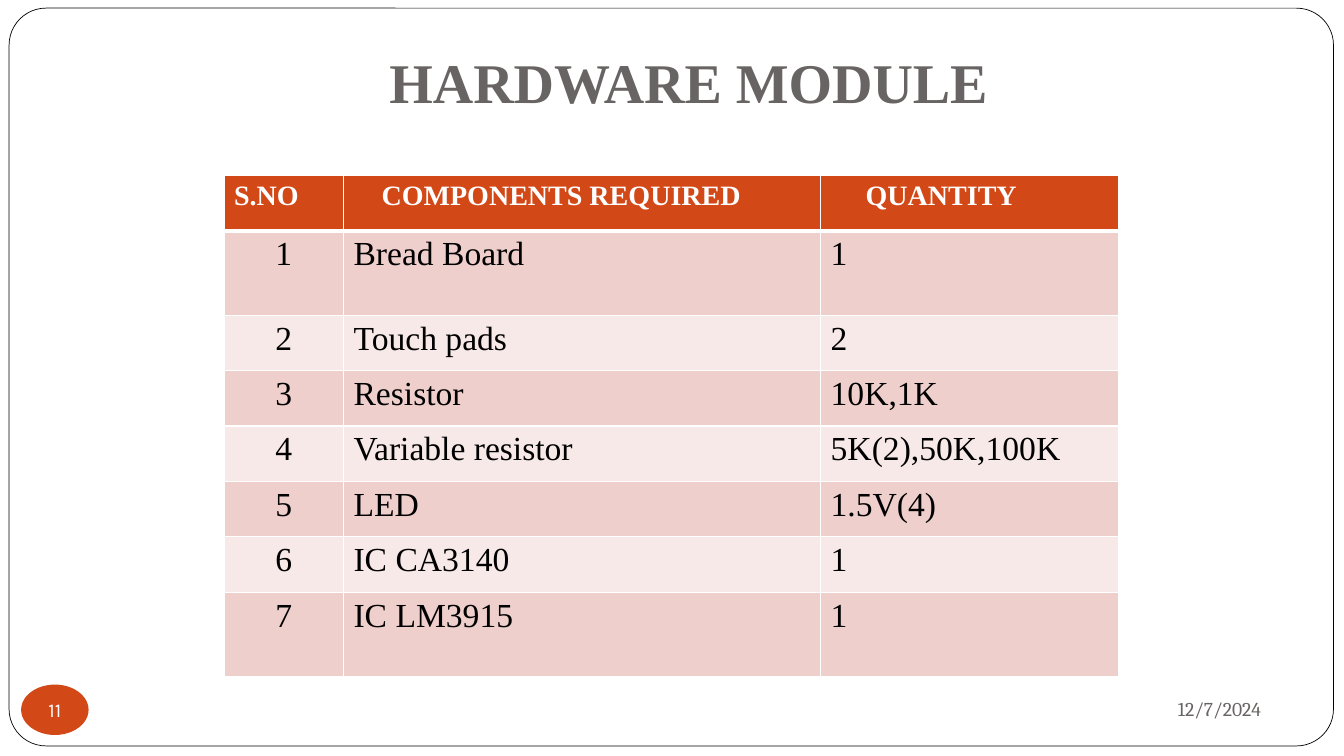
from lxml import etree
from pptx import Presentation
from pptx.dml.color import RGBColor
from pptx.enum.shapes import MSO_SHAPE
from pptx.enum.text import MSO_ANCHOR, MSO_AUTO_SIZE, PP_ALIGN
from pptx.oxml.ns import qn
from pptx.util import Pt

ROUNDED, OVAL = MSO_SHAPE.ROUNDED_RECTANGLE, MSO_SHAPE.OVAL
LEFT, CENTER, RIGHT = PP_ALIGN.LEFT, PP_ALIGN.CENTER, PP_ALIGN.RIGHT
MIDDLE, BOTTOM = MSO_ANCHOR.MIDDLE, MSO_ANCHOR.BOTTOM
NO_AUTOFIT = MSO_AUTO_SIZE.NONE

HEADER = ["S.NO", "COMPONENTS REQUIRED", "QUANTITY"]
HEADER_INDENTS = [0, 20, 25]
COMPONENTS = [
    ("Bread Board", "1"),
    ("Touch pads", "2"),
    ("Resistor", "10K,1K"),
    ("Variable resistor", "5K(2),50K,100K"),
    ("LED", "1.5V(4)"),
    ("IC CA3140", "1"),
    ("IC LM3915", "1"),
]
COLUMN_WIDTHS = [85.4, 340.8, 212.6]
ROW_HEIGHT, TALL_ROW_HEIGHT = 39.6, 60.2


def rgb(value):
    return RGBColor.from_string(value)


class Deck:
    SERIF, DATE_FONT, NUMBER_FONT = "Times New Roman", "Cambria", "Karla"
    GREY, ACCENT, WHITE, BLACK = "696464", "D34817", "FFFFFF", "000000"
    BANDS = ["EFCFCC", "F7E9E8"]
    INSET = 7.2

    def __init__(self, width, height):
        self.prs = Presentation()
        self.prs.slide_width, self.prs.slide_height = Pt(width), Pt(height)
        self.s = self.prs.slides.add_slide(self.prs.slide_layouts[5])

    def text(self, tf, text, size, font, color, align=LEFT, bold=False):
        p = tf.paragraphs[0]
        p.text = text
        p.alignment = align
        p.font.size, p.font.name, p.font.bold = Pt(size), font, bold
        p.font.color.rgb = rgb(color)
        return p

    def title(self, text, x, y, w, h, indent):
        sp = self.s.shapes.title
        sp.left, sp.top, sp.width, sp.height = Pt(x), Pt(y), Pt(w), Pt(h)
        tf = sp.text_frame
        tf.auto_size, tf.vertical_anchor = NO_AUTOFIT, BOTTOM
        tf.margin_left = Pt(self.INSET + indent)
        tf.margin_bottom = Pt(self.INSET)
        p = self.text(tf, text, 40, self.SERIF, self.GREY, bold=True)
        p.line_spacing = 1.0

    def shape(self, kind, x, y, w, h, fill, line=None):
        sp = self.s.shapes.add_shape(kind, Pt(x), Pt(y), Pt(w), Pt(h))
        sp.shadow.inherit = False
        sp.fill.solid()
        sp.fill.fore_color.rgb = rgb(fill)
        if line:
            sp.line.color.rgb = rgb(line)
            sp.line.width = Pt(0.5)
        else:
            sp.line.fill.background()
        return sp

    def frame(self, x, y, w, h):
        sp = self.shape(ROUNDED, x, y, w, h, self.WHITE, self.BLACK)
        sp.adjustments[0] = 0.05
        self.s.shapes.title.element.addprevious(sp.element)

    def badge(self, text, x, y, w, h):
        tf = self.shape(OVAL, x, y, w, h, self.ACCENT).text_frame
        tf.margin_left = tf.margin_right = tf.margin_top = tf.margin_bottom = 0
        tf.word_wrap, tf.vertical_anchor = False, MIDDLE
        self.text(tf, text, 14, self.NUMBER_FONT, self.WHITE, CENTER)

    def date(self, text, x, y, w, h):
        tf = self.s.shapes.add_textbox(Pt(x), Pt(y), Pt(w), Pt(h)).text_frame
        tf.word_wrap, tf.vertical_anchor = True, MIDDLE
        self.text(tf, text, 14, self.DATE_FONT, self.GREY, RIGHT)

    def borders(self, cell, **widths):
        tc_pr = cell._tc.get_or_add_tcPr()
        for i, (side, width) in enumerate(widths.items()):
            ln = etree.Element(qn("a:" + side), w=str(Pt(width)))
            fill = etree.SubElement(ln, qn("a:solidFill"))
            etree.SubElement(fill, qn("a:srgbClr"), val=self.WHITE)
            tc_pr.insert(i, ln)

    def table(self, rows, x, y, widths, heights):
        table = self.s.shapes.add_table(
            len(rows), len(widths), Pt(x), Pt(y), Pt(sum(widths)), Pt(sum(heights))
        ).table
        for column, width in zip(table.columns, widths):
            column.width = Pt(width)
        for r, (row, height) in enumerate(zip(rows, heights)):
            table.rows[r].height = Pt(height)
            for c, text in enumerate(row):
                cell = table.cell(r, c)
                cell.fill.solid()
                if r == 0:
                    fill = self.ACCENT
                    cell.margin_left = Pt(self.INSET + HEADER_INDENTS[c])
                    self.text(cell.text_frame, text, 20, self.SERIF, self.WHITE, bold=True)
                else:
                    fill = self.BANDS[(r - 1) % 2]
                    align = CENTER if c == 0 else LEFT
                    self.text(cell.text_frame, text, 24, self.SERIF, self.BLACK, align)
                cell.fill.fore_color.rgb = rgb(fill)
                self.borders(cell, lnL=1, lnR=1, lnT=3 if r == 1 else 1, lnB=3 if r == 0 else 1)


def main():
    deck = Deck(960, 540)
    deck.frame(6.5, 5.8, 946, 527)
    deck.title("HARDWARE MODULE", 131, 0, 816, 89.3, indent=140)
    deck.date("12/7/2024", 648, 487.4, 260, 37.4)
    rows = [HEADER] + [(str(i), *item) for i, item in enumerate(COMPONENTS, 1)]
    heights = [ROW_HEIGHT] * len(rows)
    heights[1] = heights[-1] = TALL_ROW_HEIGHT
    deck.table(rows, 160, 125.3, COLUMN_WIDTHS, heights)
    deck.badge("11", 15.1, 489, 48.2, 36)
    deck.prs.save("out.pptx")


if __name__ == "__main__":
    main()
